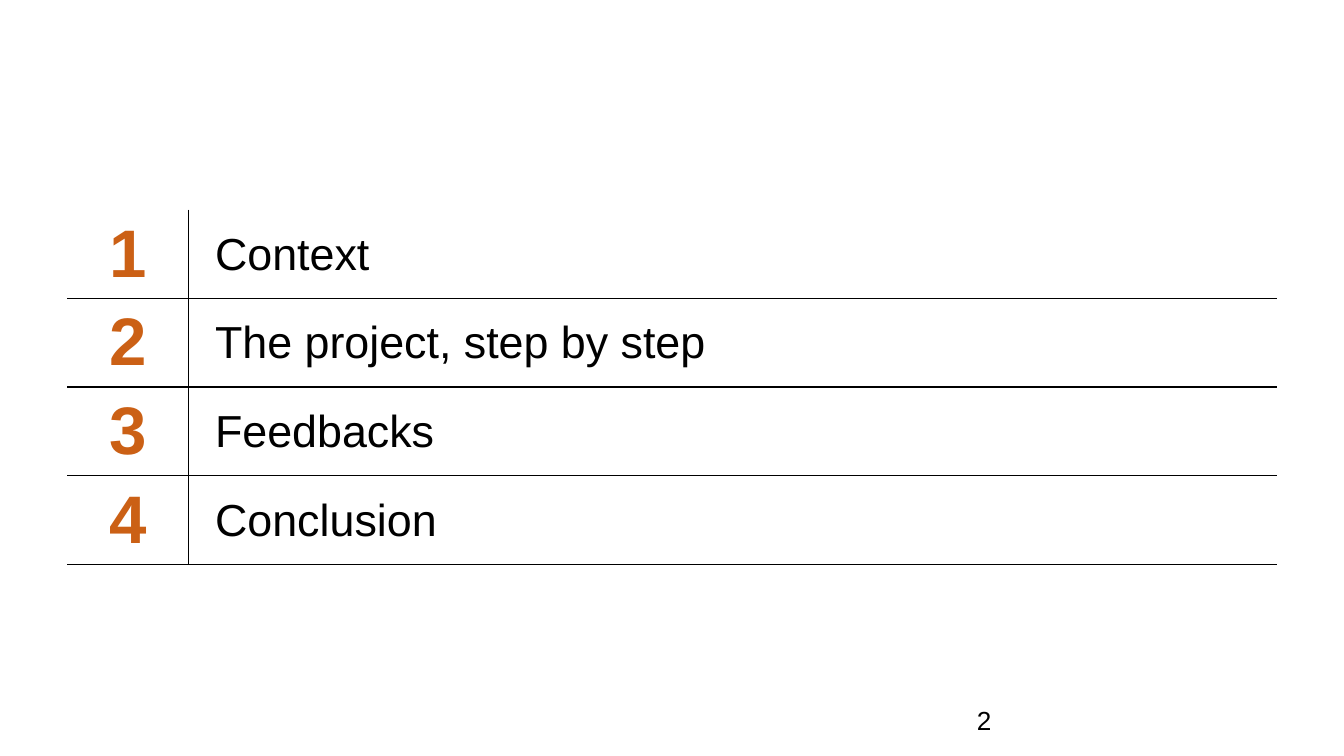
from lxml import etree
from pptx import Presentation, util as u
from pptx.dml.color import RGBColor
from pptx.enum import text
from pptx.oxml.ns import qn

COLOURS = {"number": "CB6015", "ink": "000000"}
TOPICS = ["Context", "The project, step by step", "Feedbacks", "Conclusion"]
WIDTH = u.Inches(10)
HEIGHT = WIDTH * 9 // 16
COLUMNS = (0.9, 8.1)
ROW = 0.66


def style(paragraph, size, colour, bold=False):
    """Set the font of a whole paragraph."""
    font = paragraph.font
    font.name, font.size, font.bold = "Arial", u.Pt(size), bold
    font.color.rgb = RGBColor.from_string(COLOURS[colour])


def rule_cell(cell, edges):
    """Draw thin rules on the given edges and clear the others."""
    properties = cell._tc.get_or_add_tcPr()
    for edge in "LRTB":
        line = etree.SubElement(properties, qn(f"a:ln{edge}"), w=str(u.Pt(0.75)))
        if edge in edges:
            fill = etree.SubElement(line, qn("a:solidFill"))
            etree.SubElement(fill, qn("a:srgbClr"), val=COLOURS["ink"])
        else:
            etree.SubElement(line, qn("a:noFill"))
    cell.fill.background()


def fill_cell(cell, words, size, colour, bold=False):
    """Write one styled line into a cell."""
    cell.text = words
    cell.margin_top, cell.margin_bottom = u.Inches(0.05), u.Inches(0.04)
    style(cell.text_frame.paragraphs[0], size, colour, bold)


def add_agenda(slide):
    """Add the numbered list of topics as a ruled table."""
    agenda = slide.shapes.add_table(
        len(TOPICS), len(COLUMNS), int(WIDTH * 0.05), u.Inches(1.56),
        u.Inches(sum(COLUMNS)), u.Inches(ROW * len(TOPICS))).table
    agenda.first_row = agenda.horz_banding = False
    for column, width in zip(agenda.columns, COLUMNS):
        column.width = u.Inches(width)
    for index, topic in enumerate(TOPICS):
        agenda.rows[index].height = u.Inches(ROW)
        number, title = agenda.cell(index, 0), agenda.cell(index, 1)
        top = "T" if index else ""
        rule_cell(number, "RB" + top)
        rule_cell(title, "LB" + top)
        fill_cell(number, str(index + 1), 36, "number", True)
        number.text_frame.paragraphs[0].alignment = text.PP_ALIGN.CENTER
        fill_cell(title, topic, 24, "ink")
        title.margin_left = u.Inches(0.2)
        title.vertical_anchor = text.MSO_ANCHOR.MIDDLE


def add_page_number(slide, number):
    """Add the page number near the lower edge."""
    frame = slide.shapes.add_textbox(
        u.Inches(7.17), u.Inches(5.21), u.Inches(2.33), u.Inches(0.3)).text_frame
    frame.word_wrap = True
    frame.vertical_anchor = text.MSO_ANCHOR.MIDDLE
    frame.text = str(number)
    style(frame.paragraphs[0], 14, "ink")


def main():
    """Build and save the agenda slide."""
    deck = Presentation()
    deck.slide_width, deck.slide_height = WIDTH, HEIGHT
    slide = deck.slides.add_slide(deck.slide_layouts[6])
    add_agenda(slide)
    add_page_number(slide, 2)
    deck.save("out.pptx")


if __name__ == "__main__":
    main()
